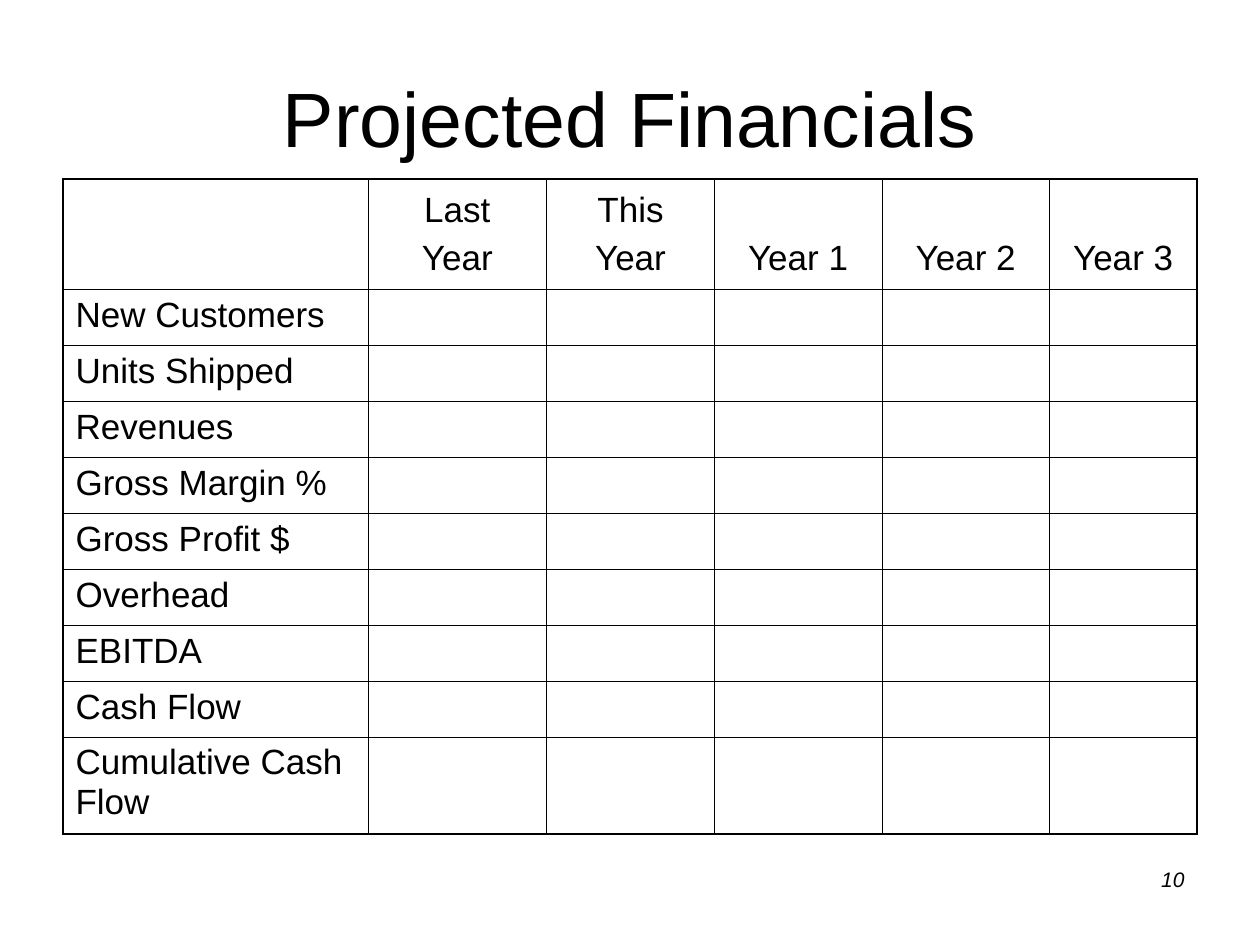
from lxml import etree
from pptx import Presentation
from pptx.dml.color import RGBColor
from pptx.enum.text import MSO_ANCHOR, PP_ALIGN
from pptx.oxml.ns import qn
from pptx.util import Inches, Pt

BLACK = RGBColor(0, 0, 0)
LEFT, CENTER, RIGHT = PP_ALIGN.LEFT, PP_ALIGN.CENTER, PP_ALIGN.RIGHT
TOP, MIDDLE, BOTTOM = MSO_ANCHOR.TOP, MSO_ANCHOR.MIDDLE, MSO_ANCHOR.BOTTOM
THIN, THICK = Pt(0.45), Pt(1.08)

HEADERS = ["", "Last\nYear", "This\nYear", "Year 1", "Year 2", "Year 3"]
METRICS = ["New Customers", "Units Shipped", "Revenues", "Gross Margin %",
           "Gross Profit $", "Overhead", "EBITDA", "Cash Flow",
           "Cumulative Cash Flow"]
COL_WIDTHS = [2.42, 1.42, 1.33, 1.33, 1.33, 1.17]
ROW_HEIGHTS = [0.83] + [4 / 9] * 8 + [0.77]


class Deck:
    font = "Arial"
    color = BLACK

    def __init__(self):
        self.prs = Presentation()
        self.prs.slide_width, self.prs.slide_height = Inches(10), Inches(7.5)
        self.s = self.prs.slides.add_slide(self.prs.slide_layouts[6])

    def set_text(self, tf, text, size, align, italic=False):
        tf.text = text
        tf.word_wrap = True
        for i, p in enumerate(tf.paragraphs):
            p.alignment = align
            p.space_before = Pt(5 if i else 0)
            p.font.name = self.font
            p.font.size = Pt(size)
            p.font.italic = italic
            p.font.color.rgb = self.color

    def text(self, x, y, w, h, text, size, align, anchor=TOP, italic=False):
        sp = self.s.shapes.add_textbox(Inches(x), Inches(y), Inches(w), Inches(h))
        sp.text_frame.vertical_anchor = anchor
        self.set_text(sp.text_frame, text, size, align, italic)

    def borders(self, cell, widths):
        tcPr = cell._tc.get_or_add_tcPr()
        for side, width in widths.items():
            ln = etree.SubElement(tcPr, qn(f"a:ln{side}"), w=str(width))
            fill = etree.SubElement(ln, qn("a:solidFill"))
            etree.SubElement(fill, qn("a:srgbClr"), val=str(self.color))

    def table(self, x, y, col_widths, row_heights, rows, size):
        n_rows, n_cols = len(row_heights), len(col_widths)
        frame = self.s.shapes.add_table(
            n_rows, n_cols, Inches(x), Inches(y),
            Inches(sum(col_widths)), Inches(sum(row_heights)))
        table = frame.table
        table.first_row = table.horz_banding = False
        for column, width in zip(table.columns, col_widths):
            column.width = Inches(width)
        for row, height in zip(table.rows, row_heights):
            row.height = Inches(height)
        for r, texts in enumerate(rows):
            for c, text in enumerate(texts):
                cell = table.cell(r, c)
                self.borders(cell, {
                    "L": THICK if c == 0 else THIN,
                    "R": THICK if c == n_cols - 1 else THIN,
                    "T": THICK if r == 0 else THIN,
                    "B": THICK if r == n_rows - 1 else THIN})
                cell.fill.background()
                cell.vertical_anchor = TOP
                if r == 0:
                    cell.vertical_anchor = BOTTOM
                    cell.margin_bottom = Inches(0.09)
                self.set_text(cell.text_frame, text, size, LEFT if c == 0 else CENTER)


def main():
    deck = Deck()
    deck.text(7.17, 6.83, 2.33, 0.52, "10", 12, RIGHT, italic=True)
    deck.text(0.5, 0.3, 9, 1.25, "Projected Financials", 44, CENTER, MIDDLE)
    blanks = [""] * (len(HEADERS) - 1)
    rows = [HEADERS] + [[metric] + blanks for metric in METRICS]
    deck.table(0.5, 1.42, COL_WIDTHS, ROW_HEIGHTS, rows, 20)
    deck.prs.save("out.pptx")


if __name__ == "__main__":
    main()
